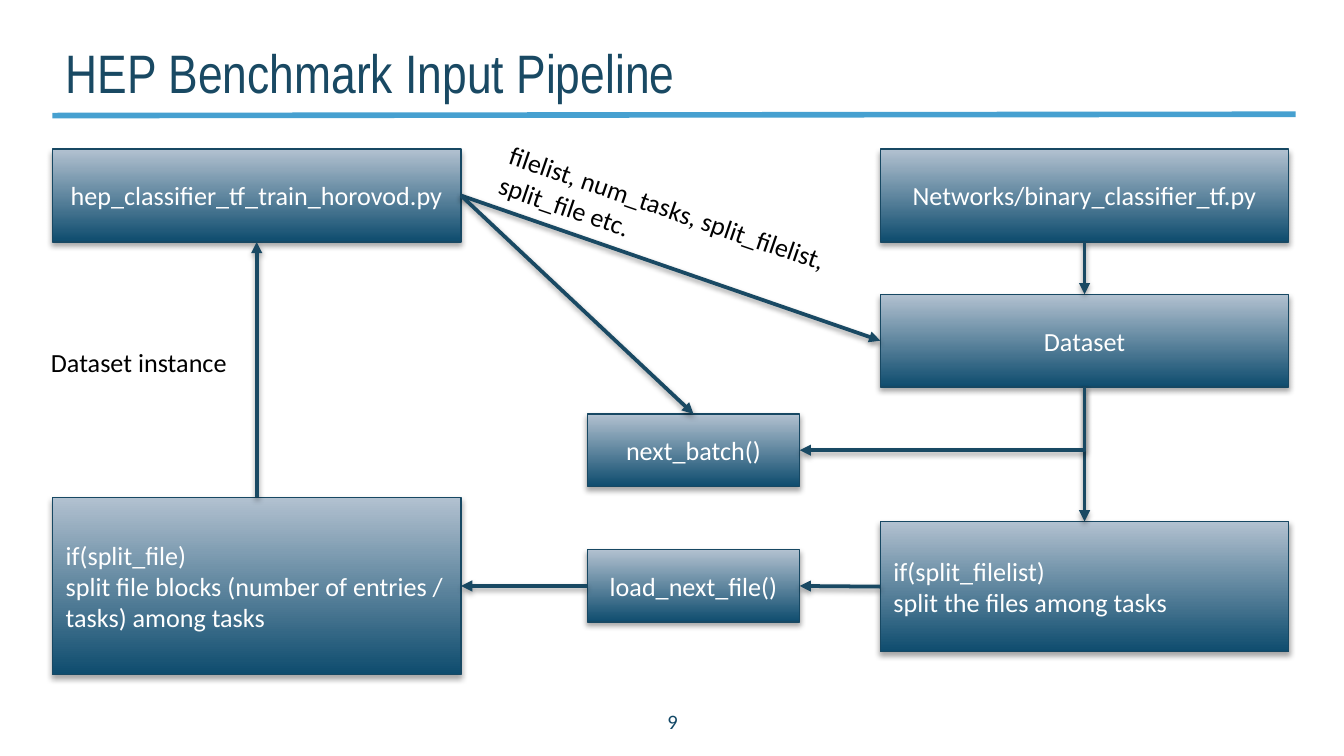
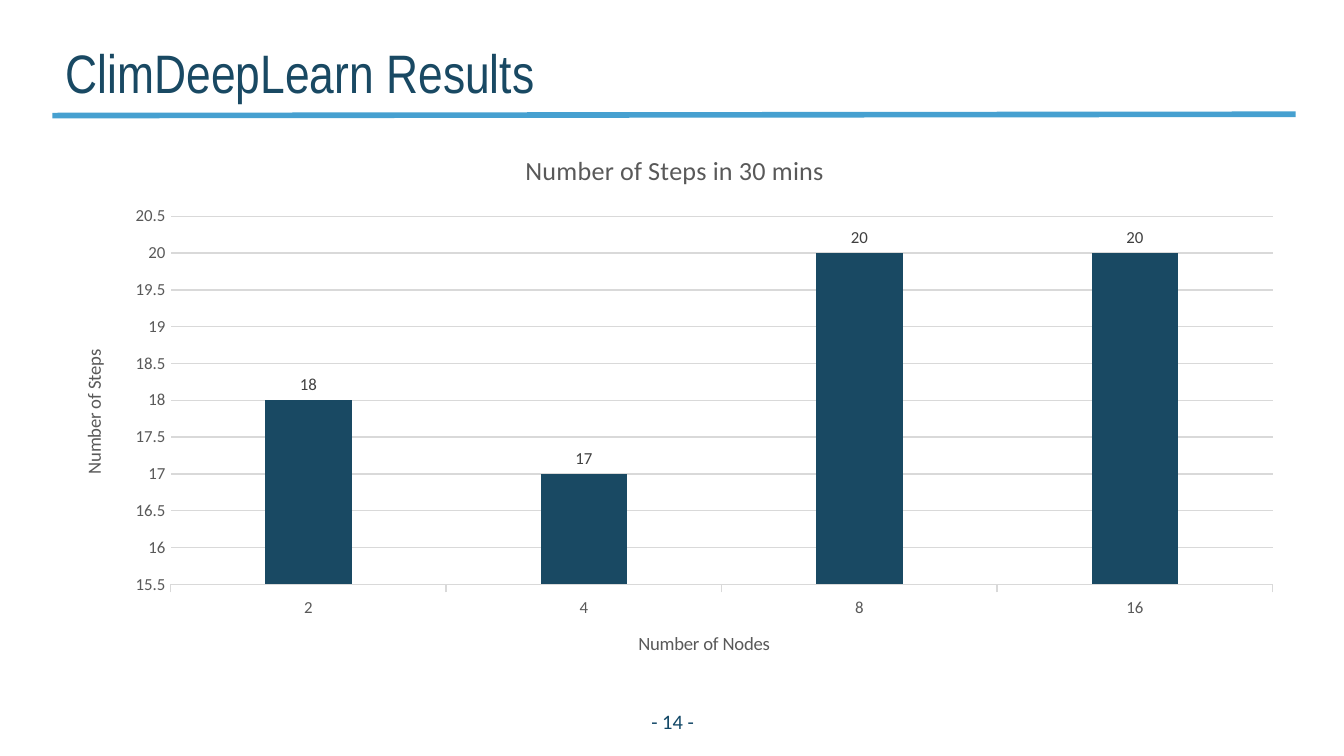
import pptx
import pptx.chart.data
import pptx.dml.color
import pptx.enum.chart
import pptx.enum.shapes
import pptx.enum.text
import pptx.oxml.ns
import pptx.util

Inches, Pt = pptx.util.Inches, pptx.util.Pt
ALIGN, ANCHOR = pptx.enum.text.PP_ALIGN, pptx.enum.text.MSO_ANCHOR
FIT = pptx.enum.text.MSO_AUTO_SIZE
LINK = pptx.enum.shapes.MSO_CONNECTOR
qn = pptx.oxml.ns.qn

# Content
COLORS = {
    "title": "194963", "rule": "46A0D0", "page": "114766", "edge": "174863",
    "deep": "0E4C6E", "pale": "B2C1D0", "white": "FFFFFF", "black": "000000",
    "axis": "595959", "grid": "D9D9D9", "label": "404040",
}
HEAD, BODY = "Arial Narrow", "Calibri"
TOP, LEFT, BOTTOM, RIGHT = range(4)

# Columns of the flow chart: left edge and width
COLS = {"left": (0.39, 3.04), "mid": (4.37, 1.58), "right": (6.55, 3.04)}
# name: column, top, height, lines
BOXES = {
    "train": ("left", 1.11, 0.69, ["hep_classifier_tf_train_horovod.py"]),
    "net": ("right", 1.11, 0.69, ["Networks/binary_classifier_tf.py"]),
    "data": ("right", 2.19, 0.69, ["Dataset"]),
    "list": ("right", 3.88, 0.97,
             ["if(split_filelist)", "split the files among tasks"]),
    "load": ("mid", 4.09, 0.54, ["load_next_file()"]),
    "split": ("left", 3.7, 1.32,
              ["if(split_file)",
               "split file blocks (number of entries / tasks) among tasks"]),
    "batch": ("mid", 3.08, 0.54, ["next_batch()"]),
}
ARROWS = [
    ("net", BOTTOM, "data", TOP),
    ("train", RIGHT, "data", LEFT),
    ("data", BOTTOM, "list", TOP),
    ("list", LEFT, "load", RIGHT),
    ("load", LEFT, "split", RIGHT),
    ("split", TOP, "train", BOTTOM),
    ("train", RIGHT, "batch", TOP),
]
# text, place, turn
NOTES = [
    ("filelist, num_tasks, split_filelist, split_file etc.",
     (3.59, 1.41, 2.9, 0.57), 18.9),
    ("Dataset instance", (0.28, 2.53, 1.55, 0.34), 0),
]
STEPS = {
    "title": "Number of Steps in 30 mins",
    "x": "Number of Nodes", "y": "Number of Steps",
    "cats": ["2", "4", "8", "16"], "vals": [18, 17, 20, 20],
    "area": (0.39, 0.96, 9.26, 4.12), "plot": (1.27, 1.61, 8.2, 2.74),
}


# Shared helpers
def rgb(name):
    return pptx.dml.color.RGBColor.from_string(COLORS[name])


def style(font, size, color, face=BODY):
    font.size, font.name, font.bold = Pt(size), face, False
    font.color.rgb = rgb(color)


def write(frame, lines, size, color, align=ALIGN.LEFT, face=BODY):
    frame.word_wrap = True
    frame.text = "\n".join(lines)
    for para in frame.paragraphs:
        para.alignment = align
        style(para.font, size, color, face)


def node(tag, parent, **attrs):
    item = parent.makeelement(qn(tag), {k: str(v) for k, v in attrs.items()})
    parent.append(item)
    return item


def shade(effects, alpha, dist):
    cast = node("a:outerShdw", effects, blurRad=Pt(3.1), dist=Pt(dist),
                dir=5400000, rotWithShape=0)
    tone = node("a:srgbClr", cast, val=COLORS["black"])
    node("a:alpha", tone, val=alpha * 1000)


def place(area):
    return [Inches(v) for v in area]


def stroke(slide, kind, ends, color, width):
    line = slide.shapes.add_connector(kind, *place(ends))
    line.line.color.rgb = rgb(color)
    line.line.width = Pt(width)
    return line, node("a:effectLst", line._element.spPr)


def start(deck, title, page):
    slide = deck.slides.add_slide(deck.slide_layouts[5])
    stroke(slide, LINK.STRAIGHT, (0.39, 0.86, 9.64, 0.85), "rule", 3)
    head = slide.shapes.title
    head.left, head.top, head.width, head.height = place(
        (0.39, 0.15, 7.46, 0.63))
    frame = head.text_frame
    frame.auto_size = FIT.NONE
    frame.vertical_anchor = ANCHOR.BOTTOM
    frame.margin_top = frame.margin_bottom = 0
    write(frame, [title], 29, "title", face=HEAD)
    foot = slide.shapes.add_textbox(*place((4.5, 5.22, 1.01, 0.3)))
    foot.text_frame.vertical_anchor = ANCHOR.MIDDLE
    write(foot.text_frame, [page], 11, "page", ALIGN.CENTER)
    return slide


# Flow chart parts
def add_box(slide, col, top, height, lines):
    left, width = COLS[col]
    box = slide.shapes.add_shape(
        pptx.enum.shapes.MSO_SHAPE.RECTANGLE,
        *place((left, top, width, height)))
    box.fill.gradient()
    box.fill.gradient_angle = 90
    for stop, color in zip(box.fill.gradient_stops, ("deep", "pale")):
        stop.color.rgb = rgb(color)
    box.line.color.rgb = rgb("edge")
    box.line.width = Pt(0.75)
    box.shadow.inherit = False
    shade(box._element.spPr.find(qn("a:effectLst")), 35, 1.8)
    box.text_frame.vertical_anchor = ANCHOR.MIDDLE
    align = ALIGN.CENTER if len(lines) == 1 else ALIGN.LEFT
    write(box.text_frame, lines, 14, "white", align)
    return box


def add_arrow(slide, kind=LINK.STRAIGHT, ends=(0, 0, 1, 1)):
    line, effects = stroke(slide, kind, ends, "title", 2)
    node("a:tailEnd", line._element.spPr.find(qn("a:ln")), type="triangle")
    shade(effects, 38, 1.6)
    return line


def add_bend(slide, x1, y1, x2, y2):
    # Down, then left: a right-then-down bend turned by a quarter
    wide, high = y2 - y1, x1 - x2
    left, top = (x1 + x2 - wide) / 2, (y1 + y2 - high) / 2
    bend = add_arrow(slide, LINK.ELBOW, (left, top, left + wide, top + high))
    props = bend._element.spPr
    props.find(qn("a:prstGeom")).set("prst", "bentConnector2")
    props.find(qn("a:xfrm")).set("rot", "5400000")


def draw_flow(deck):
    slide = start(deck, "HEP Benchmark Input Pipeline", "9")
    boxes = {name: add_box(slide, *row) for name, row in BOXES.items()}
    for tail, out, tip, into in ARROWS:
        line = add_arrow(slide)
        line.begin_connect(boxes[tail], out)
        line.end_connect(boxes[tip], into)
    add_bend(slide, 8.07, 2.88, 5.95, 3.35)
    for text, area, turn in NOTES:
        note = slide.shapes.add_textbox(*place(area))
        note.rotation = turn
        write(note.text_frame, [text], 14, "black")
        note.text_frame.auto_size = FIT.SHAPE_TO_FIT_TEXT


# Column chart
def label(owner, text, size):
    frame = owner.text_frame
    frame.text = text
    style(frame.paragraphs[0].font, size, "axis")


def fix_plot(chart, area, inner):
    plot = chart._chartSpace.chart.plotArea
    old = plot.find(qn("c:layout"))
    if old is not None:
        plot.remove(old)
    frame = node("c:layout", plot)
    plot.insert(0, frame)
    form = node("c:manualLayout", frame)
    node("c:layoutTarget", form, val="inner")
    for side in "xy":
        node(f"c:{side}Mode", form, val="edge")
    left, top, wide, high = area
    x, y, w, h = inner
    parts = ((x - left) / wide, (y - top) / high, w / wide, h / high)
    for key, part in zip("xywh", parts):
        node(f"c:{key}", form, val=part)


def draw_steps(deck):
    slide = start(deck, "ClimDeepLearn Results", "- 14 -")
    data = pptx.chart.data.CategoryChartData()
    data.categories = STEPS["cats"]
    data.add_series(STEPS["title"], STEPS["vals"])
    chart = slide.shapes.add_chart(
        pptx.enum.chart.XL_CHART_TYPE.COLUMN_CLUSTERED,
        *place(STEPS["area"]), data).chart
    style(chart.font, 10, "black")
    chart.has_legend = False
    label(chart.chart_title, STEPS["title"], 14)
    chart.chart_title.include_in_layout = False
    fix_plot(chart, STEPS["area"], STEPS["plot"])

    # Axes
    cat, val = chart.category_axis, chart.value_axis
    mark = pptx.enum.chart.XL_TICK_MARK
    for axis, key, tick in ((cat, "x", mark.OUTSIDE), (val, "y", mark.NONE)):
        label(axis.axis_title, STEPS[key], 10)
        style(axis.tick_labels.font, 9, "axis")
        axis.major_tick_mark, axis.minor_tick_mark = tick, mark.NONE
    val.minimum_scale, val.maximum_scale, val.major_unit = 15.5, 20.5, 0.5
    val.format.line.fill.background()
    for part in (cat, val.major_gridlines):
        part.format.line.color.rgb = rgb("grid")
        part.format.line.width = Pt(0.75)

    # Columns
    plot = chart.plots[0]
    plot.gap_width, plot.overlap, plot.vary_by_categories = 219, -27, False
    bars = plot.series[0]
    bars.format.fill.solid()
    bars.format.fill.fore_color.rgb = rgb("title")
    tags = bars.data_labels
    tags.show_value = True
    tags.position = pptx.enum.chart.XL_LABEL_POSITION.OUTSIDE_END
    style(tags.font, 9, "label")


def main():
    deck = pptx.Presentation()
    deck.slide_width = Inches(10)
    deck.slide_height = deck.slide_width * 9 // 16
    draw_flow(deck)
    draw_steps(deck)
    deck.save("out.pptx")


if __name__ == "__main__":
    main()
